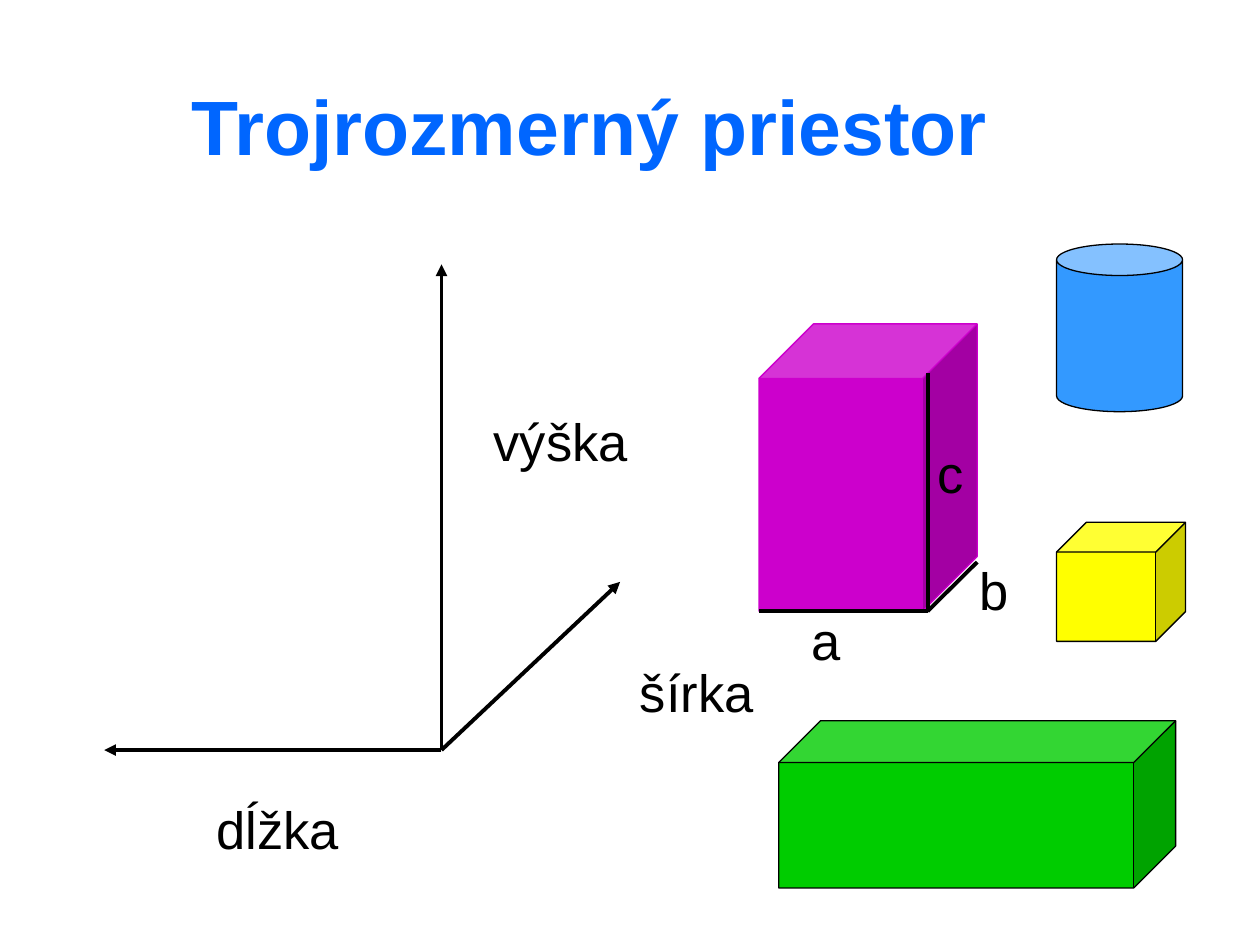
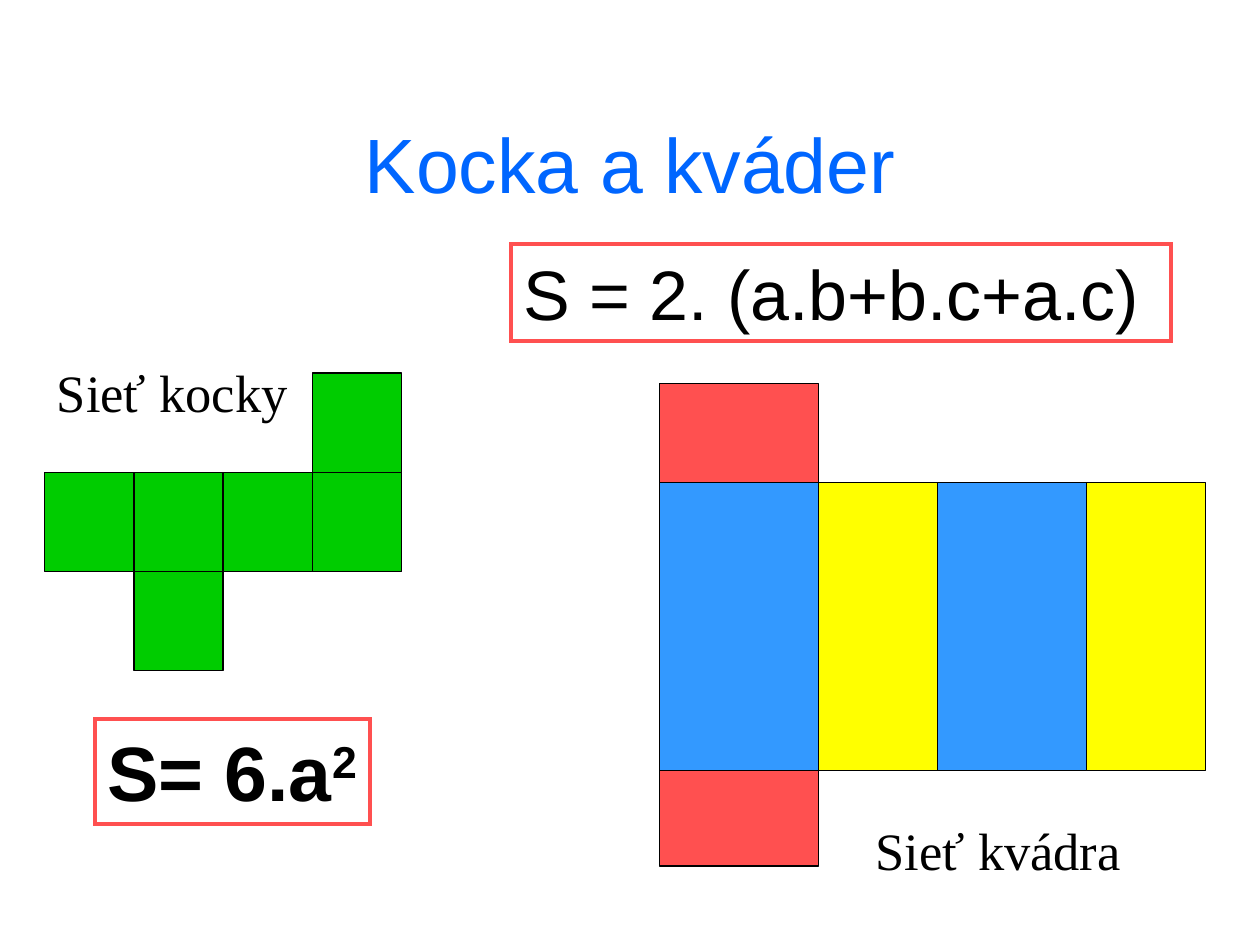
from lxml.etree import SubElement
from pptx import Presentation
from pptx.dml.color import RGBColor
from pptx.enum.shapes import MSO_CONNECTOR as Connector, MSO_SHAPE as Preset
from pptx.enum.text import MSO_ANCHOR as Anchor, MSO_AUTO_SIZE as AutoSize, PP_ALIGN as Align
from pptx.oxml.ns import qn
from pptx.util import Cm, Pt

BLACK = RGBColor(0x00, 0x00, 0x00)
TITLE_BLUE = RGBColor(0x00, 0x66, 0xFF)
BLUE = RGBColor(0x33, 0x99, 0xFF)
GREEN = RGBColor(0x00, 0xCC, 0x00)
YELLOW = RGBColor(0xFF, 0xFF, 0x00)
PURPLE = RGBColor(0xCC, 0x00, 0xCC)
RED = RGBColor(0xFF, 0x50, 0x50)

TITLE = {"name": "Arial", "size": Pt(44), "bold": False}
LABEL = {"name": "Arial", "size": Pt(30)}
CAPTION = {"name": "Times New Roman", "size": Pt(30)}
CUBE_FORMULA = {"name": "Arial", "size": Pt(44), "bold": True}
CUBOID_FORMULA = {"name": "Arial", "size": Pt(40)}
LABEL_HEIGHT = 1.52
THIN, THICK = Pt(0.75), Pt(2.25)


def lengths(values):
    return [Cm(value) for value in values]


def set_attributes(target, values):
    for name, value in values.items():
        setattr(target, name, value)


def format_font(font, look, color=BLACK):
    set_attributes(font, look)
    font.color.rgb = color


def add_titled_page(deck, text, left, top, **changes):
    page = deck.slides.add_slide(deck.slide_layouts[5])
    title = page.shapes.title
    place = dict(zip(("left", "top", "width", "height"), lengths((left, top, 21.6, 3.18))))
    set_attributes(title, place)
    frame = title.text_frame
    frame.text = text
    set_attributes(frame, {"vertical_anchor": Anchor.MIDDLE, "auto_size": AutoSize.NONE})
    para = frame.paragraphs[0]
    para.alignment = Align.CENTER
    format_font(para.runs[0].font, TITLE | changes, TITLE_BLUE)
    return page


def add_text(page, text, place, look, wrap=False):
    box = page.shapes.add_textbox(*lengths(place))
    set_attributes(box.text_frame, {"word_wrap": wrap, "auto_size": AutoSize.SHAPE_TO_FIT_TEXT})
    span = box.text_frame.paragraphs[0].add_run()
    span.text = text
    format_font(span.font, look)
    return box


def add_formula(page, text, place, look, wrap=False, exponent=None):
    box = add_text(page, text, place, look, wrap)
    box.line.color.rgb = RED
    box.line.width = THICK
    SubElement(box._element.spPr.find(qn("a:ln")), qn("a:miter"), lim="800000")
    if exponent:
        span = box.text_frame.paragraphs[0].add_run()
        span.text = exponent
        format_font(span.font, look)
        span.font._element.set("baseline", "30000")


def add_solid(shapes, preset, place, color, outline=BLACK):
    solid = shapes.add_shape(preset, *lengths(place))
    solid.shadow.inherit = False
    solid.fill.solid()
    solid.fill.fore_color.rgb = color
    solid.line.color.rgb = outline
    solid.line.width = THIN


def add_line(page, start, end, arrow=False):
    line = page.shapes.add_connector(Connector.STRAIGHT, *lengths((*start, *end)))
    line.line.color.rgb = BLACK
    line.line.width = THICK
    properties = line._element.spPr
    if arrow:
        SubElement(properties.find(qn("a:ln")), qn("a:tailEnd"), type="triangle")
    SubElement(properties, qn("a:effectLst"))


def build_space_page(deck):
    page = add_titled_page(deck, "Trojrozmerný priestor", 1.09, 0.93, bold=True)

    solids = [
        (Preset.CAN, (21.3, 4.92, 2.54, 3.38), BLUE, BLACK),
        (Preset.CUBE, (15.7, 14.53, 8, 3.37), GREEN, BLACK),
        (Preset.CUBE, (21.3, 10.53, 2.6, 2.4), YELLOW, BLACK),
        (Preset.CUBE, (15.3, 6.53, 4.4, 5.79), PURPLE, PURPLE),
    ]
    for solid in solids:
        add_solid(page.shapes, *solid)

    corner = (18.7, 12.32)
    for edge_end in ((15.3, 12.32), (19.7, 11.33), (18.7, 7.52)):
        add_line(page, corner, edge_end)

    origin = (8.9, 15.12)
    for axis_end in ((2.1, 15.12), (8.9, 5.33), (12.5, 11.73)):
        add_line(page, origin, axis_end, arrow=True)

    labels = [
        ("dĺžka", 4.11, 15.94, 3.1),
        ("šírka", 12.65, 13.18, 2.95),
        ("výška", 9.7, 8.13, 3.35),
        ("a", 16.1, 12.13, 1.1),
        ("b", 19.5, 11.13, 1.1),
        ("c", 18.64, 8.76, 1.05),
    ]
    for text, left, top, width in labels:
        add_text(page, text, (left, top, width, LABEL_HEIGHT), LABEL)


def add_cube_net(page):
    left, top, width, height = 0.9, 7.52, 1.8, 2
    net = page.shapes.add_group_shape()
    for row, columns in enumerate(((3,), (0, 1, 2, 3), (1,))):
        for column in columns:
            place = (left + column * width, top + row * height, width, height)
            add_solid(net.shapes, Preset.RECTANGLE, place, GREEN)


def add_cuboid_net(page):
    left, top, height = 13.3, 9.73, 5.8
    wide, narrow = 3.2, 2.4
    period = 5.4
    faces = [((left + turn * period, top, wide, height), BLUE) for turn in range(2)]
    faces += [((left + wide + turn * period, top, narrow, height), YELLOW) for turn in range(2)]
    faces += [
        ((left, top - 2, wide, 2), RED),
        ((left, top + height, wide, 1.93), RED),
    ]
    for place, color in faces:
        add_solid(page.shapes, Preset.RECTANGLE, place, color)


def build_nets_page(deck):
    page = add_titled_page(deck, "Kocka a kváder", 1.91, 1.69)
    add_cube_net(page)
    add_cuboid_net(page)
    add_formula(page, "S= 6.a", (1.91, 14.49, 5.55, 2.13), CUBE_FORMULA, exponent="2")
    add_formula(page, "S = 2. (a.b+b.c+a.c)", (10.3, 4.92, 13.3, 1.96), CUBOID_FORMULA, wrap=True)
    for text, left, top in (("Sieť kocky", 0.9, 7.14), ("Sieť kvádra", 17.4, 16.36)):
        add_text(page, text, (left, top, 5.69, LABEL_HEIGHT), CAPTION, wrap=True)


def main():
    deck = Presentation()
    set_attributes(deck, {"slide_width": Cm(25.4), "slide_height": Cm(19.05)})
    build_space_page(deck)
    build_nets_page(deck)
    deck.save("out.pptx")


if __name__ == "__main__":
    main()
